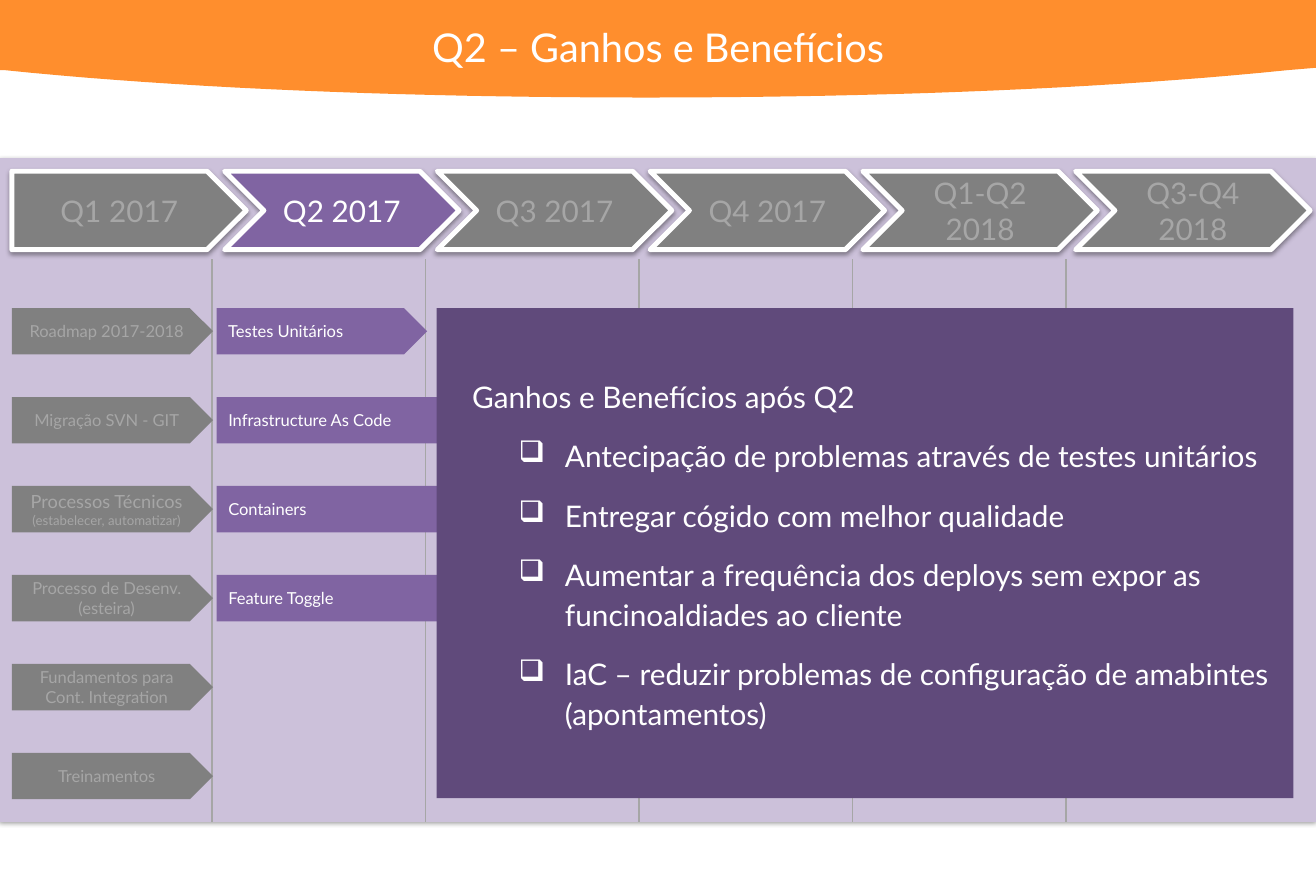
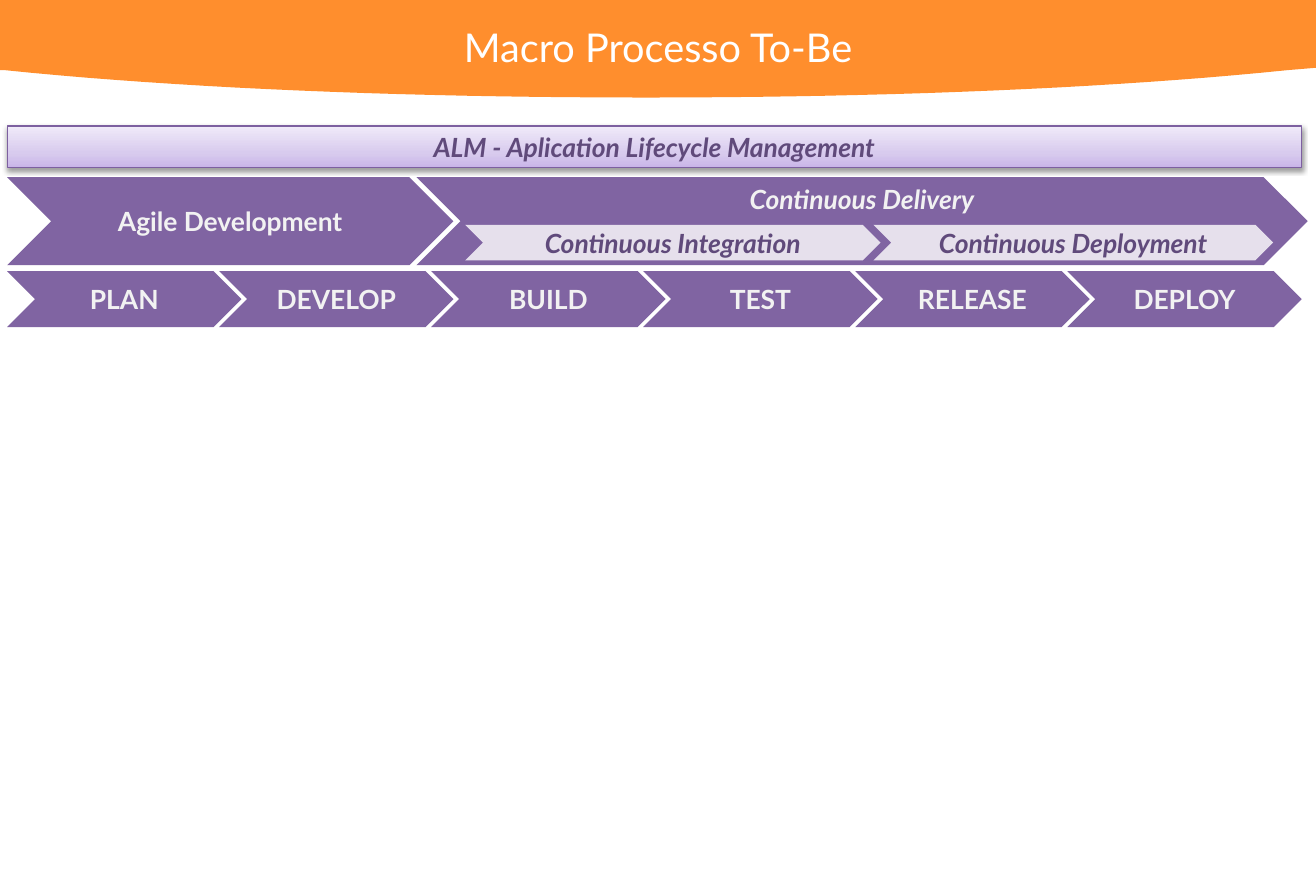
from lxml.etree import SubElement
from pptx import Presentation
from pptx.dml.color import RGBColor
from pptx.enum.shapes import MSO_CONNECTOR as CONN, MSO_SHAPE as SHAPE
from pptx.enum.text import MSO_ANCHOR as ANCHOR, MSO_AUTO_SIZE as AUTO, PP_ALIGN as ALIGN
from pptx.oxml.ns import qn
from pptx.util import Inches, Pt

WIDTH, HEIGHT = 11.06, 7.5
FONT = "Lato"
ORANGE, WHITE, PALE = "FF8E2D", "FFFFFF", "F2F2F2"
PURPLE, DEEP, LILAC, MIST = "8064A2", "604A7B", "CCC1DA", "E6E0EC"
GREY, SILVER = "808080", "A6A6A6"


def rgb(color):
    return RGBColor.from_string(color)


def spread(first, last, count):
    """Evenly spaced positions from first to last."""
    return [first + (last - first) * i / (count - 1) for i in range(count)]


def bezier(points, steps=20):
    """Points along a cubic curve, without its start."""
    for t in (i / steps for i in range(1, steps + 1)):
        weights = ((1 - t) ** 3, 3 * t * (1 - t) ** 2, 3 * t * t * (1 - t), t ** 3)
        yield tuple(sum(w * p[axis] for w, p in zip(weights, points)) for axis in (0, 1))


class Deck:
    def __init__(self):
        self.prs = Presentation()
        self.prs.slide_width, self.prs.slide_height = Inches(WIDTH), Inches(HEIGHT)

    def slide(self, title):
        self.shapes = self.prs.slides.add_slide(self.prs.slide_layouts[6]).shapes
        self.band()
        sp = self.shapes.add_textbox(*map(Inches, (0.94, 0.14, 9.18, 0.5)))
        tf = sp.text_frame
        tf.word_wrap, tf.auto_size = True, AUTO.SHAPE_TO_FIT_TEXT
        self.add_text(tf.paragraphs[0], title, 24, WHITE)

    def band(self):
        """Orange header with a curved lower edge."""
        right, middle, left = (10.82, 0.59), (5.43, 0.82), (0.04, 0.59)
        outline = [(WIDTH, 0), (WIDTH, 0.57), right,
                   *bezier([right, (9.36, 0.74), (7.48, 0.82), middle]),
                   *bezier([middle, (3.38, 0.82), (1.5, 0.74), left]), (0, 0.59)]
        builder = self.shapes.build_freeform(0, 0)
        builder.add_line_segments([(Inches(x), Inches(y)) for x, y in outline])
        self.paint(builder.convert_to_shape(), ORANGE)

    def paint(self, sp, fill, line=None, width=1, shadow=False):
        sp.fill.solid()
        sp.fill.fore_color.rgb = rgb(fill)
        if line:
            sp.line.color.rgb, sp.line.width = rgb(line), Pt(width)
        else:
            sp.line.fill.background()
        sp.shadow.inherit = False
        if shadow:
            effects = sp._element.spPr.find(qn("a:effectLst"))
            outer = SubElement(effects, qn("a:outerShdw"), blurRad=str(Pt(3.1)),
                               dist=str(Pt(1.6)), dir="5400000", rotWithShape="0")
            color = SubElement(outer, qn("a:srgbClr"), val="000000")
            SubElement(color, qn("a:alpha"), val="38000")

    def gradient(self, sp, stops, angle):
        sp.fill.gradient()
        sp.fill.gradient_angle = angle
        stop_list = sp._element.spPr.find(qn("a:gradFill")).find(qn("a:gsLst"))
        for old in list(stop_list):
            stop_list.remove(old)
        for position, color in stops:
            gs = SubElement(stop_list, qn("a:gs"), pos=str(position * 1000))
            SubElement(gs, qn("a:srgbClr"), val=color)

    def add_text(self, p, text, size, color, align=ALIGN.CENTER, bold=False, italic=False):
        p.alignment = align
        r = p.add_run()
        r.text = text
        font = r.font
        font.name, font.size, font.color.rgb = FONT, Pt(size), rgb(color)
        font.bold, font.italic = bold, italic

    def shape(self, kind, at, fill, **look):
        sp = self.shapes.add_shape(kind, *map(Inches, at))
        self.paint(sp, fill, **look)
        sp.text_frame.word_wrap = True
        sp.text_frame.vertical_anchor = ANCHOR.MIDDLE
        return sp

    def label(self, sp, text, size, color, **style):
        self.add_text(sp.text_frame.paragraphs[0], text, size, color, **style)

    def rule(self, x, top, bottom):
        line = self.shapes.add_connector(CONN.STRAIGHT, *map(Inches, (x, top, x, bottom)))
        line.line.color.rgb, line.line.width = rgb(SILVER), Pt(1)
        SubElement(line._element.spPr, qn("a:effectLst"))

    def panel(self, at, heading, bullets):
        tf = self.shape(SHAPE.RECTANGLE, at, DEEP).text_frame
        for i, text in enumerate([heading, *bullets]):
            p = tf.add_paragraph() if i else tf.paragraphs[0]
            pPr = p._p.get_or_add_pPr()
            pPr.set("marL", str(Inches(0.98 if i else 0.2)))
            pPr.set("indent", str(Inches(-0.39 if i else 0)))
            if i:
                SubElement(pPr, qn("a:buChar"), char="❑")
                p.space_before = Pt(6)
            p.line_spacing, p.space_after = Pt(24), Pt(6)
            self.add_text(p, text, 18, WHITE, align=ALIGN.LEFT)


def gains_slide(deck):
    deck.slide("Q2 – Ganhos e Benefícios")
    deck.shape(SHAPE.RECTANGLE, (0, 1.33, WIDTH, 5.58), LILAC, shadow=True)

    # Quarter timeline
    quarters = ["Q1 2017", "Q2 2017", "Q3 2017", "Q4 2017", "Q1-Q2 2018", "Q3-Q4 2018"]
    for i, (x, quarter) in enumerate(zip(spread(0.1, 9.04, 6), quarters)):
        current = quarter == "Q2 2017"
        sp = deck.shape(SHAPE.CHEVRON if i else SHAPE.PENTAGON, (x, 1.44, 1.97, 0.66),
                        PURPLE if current else GREY, line=WHITE, width=3, shadow=True)
        deck.label(sp, quarter, 18, WHITE if current else SILVER)
    for x in spread(1.78, 8.96, 5):
        deck.rule(x, 2.18, 6.91)

    # Activities of the current quarter, then those already done
    rows = spread(2.59, 6.33, 6)
    active = [("Testes Unitários", 1.77), ("Infrastructure As Code", 5.35),
              ("Containers", 5.35), ("Feature Toggle", 3.55)]
    for y, (text, width) in zip(rows, active):
        sp = deck.shape(SHAPE.PENTAGON, (1.82, y, width, 0.39), PURPLE)
        deck.label(sp, text, 10, WHITE, align=ALIGN.LEFT)
    done = [[("Roadmap 2017-2018", 10)], [("Migração SVN - GIT", 10)],
            [("Processos Técnicos ", 11), ("(estabelecer, automatizar)", 8)],
            [("Processo de Desenv. (esteira)", 10)],
            [("Fundamentos para Cont. Integration", 10)], [("Treinamentos", 10)]]
    for y, runs in zip(rows, done):
        sp = deck.shape(SHAPE.PENTAGON, (0.1, y, 1.69, 0.39), GREY)
        for text, size in runs:
            deck.label(sp, text, size, SILVER)

    # Gains panel
    deck.panel((3.67, 2.59, 7.2, 4.12), "Ganhos e Benefícios após Q2", [
        "Antecipação de problemas através de testes unitários",
        "Entregar cógido com melhor qualidade",
        "Aumentar a frequência dos deploys sem expor as funcinoaldiades ao cliente",
        "IaC – reduzir problemas de configuração de amabintes (apontamentos)"])


def process_slide(deck):
    deck.slide("Macro Processo To-Be")

    # Steps
    steps = ["PLAN", "DEVELOP", "BUILD", "TEST", "RELEASE", "DEPLOY"]
    for x, step in zip(spread(0.06, 8.97, 6), steps):
        sp = deck.shape(SHAPE.CHEVRON, (x, 2.28, 1.97, 0.47), PURPLE)
        deck.label(sp, step, 16, PALE, bold=True)

    # Phases
    sp = deck.shape(SHAPE.CHEVRON, (0.06, 1.49, 3.75, 0.74), PURPLE)
    deck.label(sp, "Agile Development", 16, PALE, bold=True)
    sp = deck.shape(SHAPE.CHEVRON, (3.5, 1.49, 7.49, 0.74), PURPLE)
    sp.text_frame.vertical_anchor = ANCHOR.TOP
    deck.label(sp, "Continuous Delivery", 16, PALE, bold=True, italic=True)
    for x, width, text in [(3.91, 3.49, "Continuous Integration"),
                           (7.34, 3.36, "Continuous Deployment")]:
        sp = deck.shape(SHAPE.CHEVRON, (x, 1.89, width, 0.3), MIST)
        deck.label(sp, text, 16, DEEP, bold=True, italic=True)

    # Lifecycle bar
    sp = deck.shape(SHAPE.RECTANGLE, (0.06, 1.06, 10.88, 0.35), MIST,
                    line="7D60A0", width=0.75, shadow=True)
    deck.gradient(sp, [(0, "C9B5E8"), (35, "D8CBEE"), (100, "F0EAF9")], angle=90)
    deck.label(sp, "ALM - Aplication Lifecycle Management", 16, DEEP, bold=True, italic=True)


def main():
    deck = Deck()
    gains_slide(deck)
    process_slide(deck)
    deck.prs.save("out.pptx")


if __name__ == "__main__":
    main()
